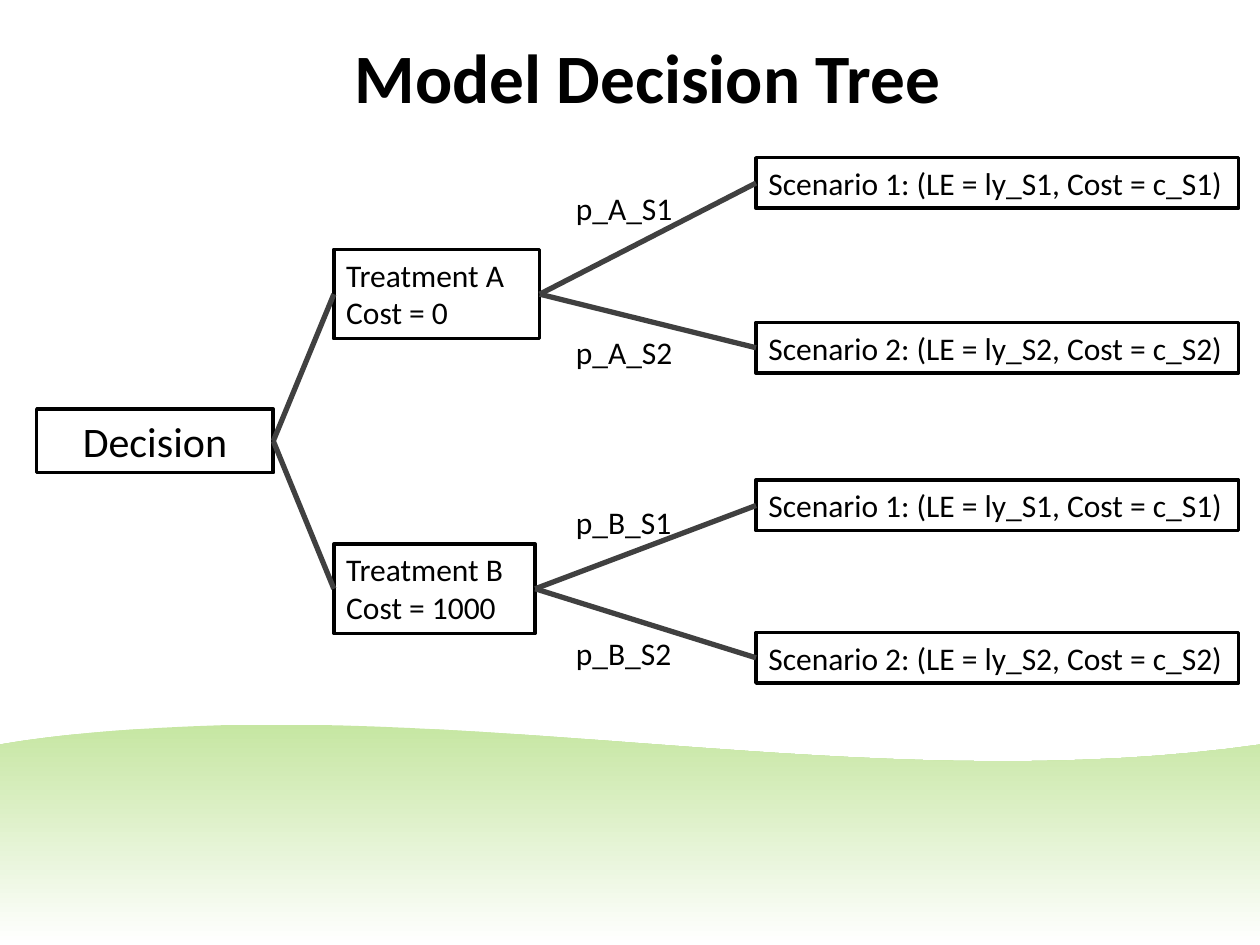
from lxml.etree import SubElement
from pptx import Presentation
from pptx.dml.color import RGBColor
from pptx.enum.shapes import MSO_CONNECTOR, MSO_SHAPE
from pptx.enum.text import MSO_ANCHOR, MSO_AUTO_SIZE, PP_ALIGN
from pptx.oxml.ns import qn
from pptx.util import Cm, Pt

BLACK = RGBColor(0x00, 0x00, 0x00)
WHITE = RGBColor(0xFF, 0xFF, 0xFF)
BRANCH_GRAY = RGBColor(0x40, 0x40, 0x40)
MEADOW_GREEN = RGBColor(0xC6, 0xE6, 0xA2)
FONT = "Calibri"
RIGHT, LEFT = 3, 1  # connection sites of a rectangle

# Wave crest as cubic curves, in fractions of the band
CREST = [
    [(0, 0.09), (0.06, 0.03), (0.13, 0.01), (0.19, 0)],
    [(0.19, 0), (0.46, -0.02), (0.73, 0.31), (1, 0.09)],
]
CURVE_STEPS = 30

# Branch tops, then tops of the parts within each branch, in cm
BRANCHES = [
    dict(letter="A", cost=0, top=3.18, treatment_top=1.85, treatment_width=4.15,
         scenario_tops=(0, 3.32), label_tops=(0.5, 3.4)),
    dict(letter="B", cost=1000, top=9.68, treatment_top=1.29, treatment_width=4.06,
         scenario_tops=(0, 3.07), label_tops=(0.33, 2.97)),
]


def format_text(frame, lines, size=18, align=PP_ALIGN.LEFT, bold=False):
    frame.text = "\n".join(lines)
    for paragraph in frame.paragraphs:
        paragraph.alignment = align
        paragraph.font.name = FONT
        paragraph.font.size = Pt(size)
        paragraph.font.bold = bold
        paragraph.font.color.rgb = BLACK


def add_node(slide, left, top, width, height, lines, **text_format):
    node = slide.shapes.add_shape(
        MSO_SHAPE.RECTANGLE, Cm(left), Cm(top), Cm(width), Cm(height))
    node.shadow.inherit = False
    node.fill.solid()
    node.fill.fore_color.rgb = WHITE
    node.line.color.rgb = BLACK
    node.line.width = Pt(2)
    node.text_frame.word_wrap = True
    node.text_frame.vertical_anchor = MSO_ANCHOR.TOP
    node.text_frame.auto_size = MSO_AUTO_SIZE.SHAPE_TO_FIT_TEXT
    format_text(node.text_frame, lines, **text_format)
    return node


def join(slide, parent, child):
    branch_line = slide.shapes.add_connector(MSO_CONNECTOR.STRAIGHT, 0, 0, 0, 0)
    branch_line.begin_connect(parent, RIGHT)
    branch_line.end_connect(child, LEFT)
    branch_line.line.color.rgb = BRANCH_GRAY
    branch_line.line.width = Pt(3)
    SubElement(branch_line._element.spPr, qn("a:effectLst"))


def add_probability(slide, left, top, label):
    probability = slide.shapes.add_textbox(Cm(left), Cm(top), Cm(2.46), Cm(1.02))
    probability.text_frame.word_wrap = False
    probability.text_frame.auto_size = MSO_AUTO_SIZE.SHAPE_TO_FIT_TEXT
    format_text(probability.text_frame, [label])


def curve_point(curve, t):
    weights = ((1 - t) ** 3, 3 * t * (1 - t) ** 2, 3 * t ** 2 * (1 - t), t ** 3)
    return tuple(sum(w * point[axis] for w, point in zip(weights, curve))
                 for axis in (0, 1))


def add_meadow(slide, left, top, width, height):
    crest = [curve_point(curve, step / CURVE_STEPS)
             for curve in CREST for step in range(CURVE_STEPS + 1)]
    outline = [(Cm(left + x * width), Cm(top + y * height))
               for x, y in crest + [(1, 1), (0, 1)]]
    builder = slide.shapes.build_freeform(*outline[0])
    builder.add_line_segments(outline[1:], close=True)
    meadow = builder.convert_to_shape()
    meadow.shadow.inherit = False
    meadow.line.fill.background()
    meadow.fill.gradient()
    meadow.fill.gradient_angle = 270
    for stop, color, position in zip(
            meadow.fill.gradient_stops, (MEADOW_GREEN, WHITE), (0, 1)):
        stop.color.rgb = color
        stop.position = position


def add_title(slide, left, top, width, height):
    title = slide.shapes.title
    title.left, title.top = Cm(left), Cm(top)
    title.width, title.height = Cm(width), Cm(height)
    title.text_frame.auto_size = MSO_AUTO_SIZE.NONE
    title.text_frame.vertical_anchor = MSO_ANCHOR.MIDDLE
    format_text(title.text_frame, ["Model Decision Tree"],
                size=39.6, align=PP_ALIGN.CENTER, bold=True)


def add_branch(slide, decision, left, top, letter, cost, treatment_top,
               treatment_width, scenario_tops, label_tops):
    treatment = add_node(slide, left, top + treatment_top, treatment_width, 1.8,
                         [f"Treatment {letter}", f"Cost = {cost}"])
    join(slide, decision, treatment)
    for number, (scenario_top, label_top) in enumerate(
            zip(scenario_tops, label_tops), start=1):
        scenario = add_node(
            slide, left + 8.51, top + scenario_top, 9.73, 1.02,
            [f"Scenario {number}: (LE = ly_S{number}, Cost = c_S{number})"])
        join(slide, treatment, scenario)
        add_probability(slide, left + 4.63, top + label_top, f"p_{letter}_S{number}")


def main():
    presentation = Presentation()
    presentation.slide_width, presentation.slide_height = Cm(25.4), Cm(19.05)
    slide = presentation.slides.add_slide(presentation.slide_layouts[5])

    # Background and title
    add_meadow(slide, 0, 14.61, 25.4, 4.44)
    add_title(slide, 0.71, 0.76, 24.69, 1.55)

    # Decision tree
    decision = add_node(slide, 0.74, 8.25, 4.77, 1.28, ["Decision"],
                        size=24, align=PP_ALIGN.CENTER)
    for branch in BRANCHES:
        add_branch(slide, decision, left=6.73, **branch)

    presentation.save("out.pptx")


if __name__ == "__main__":
    main()
